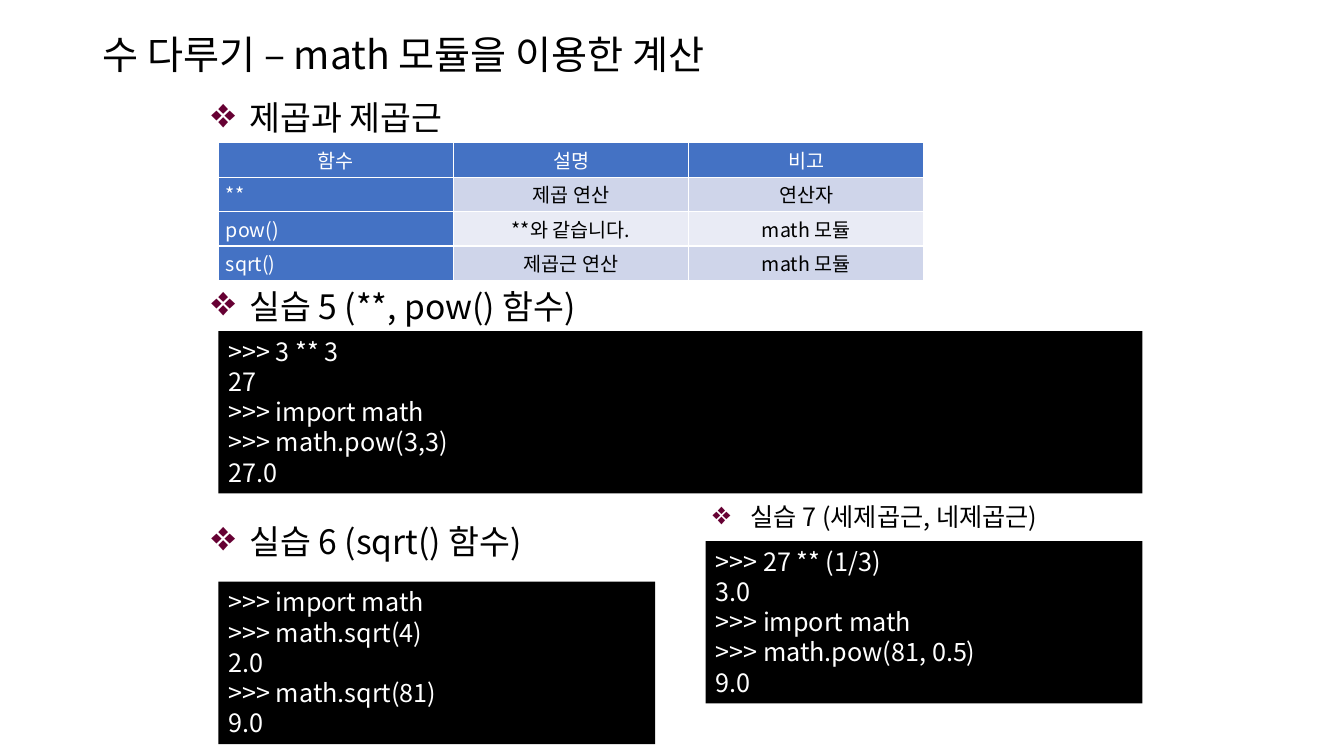
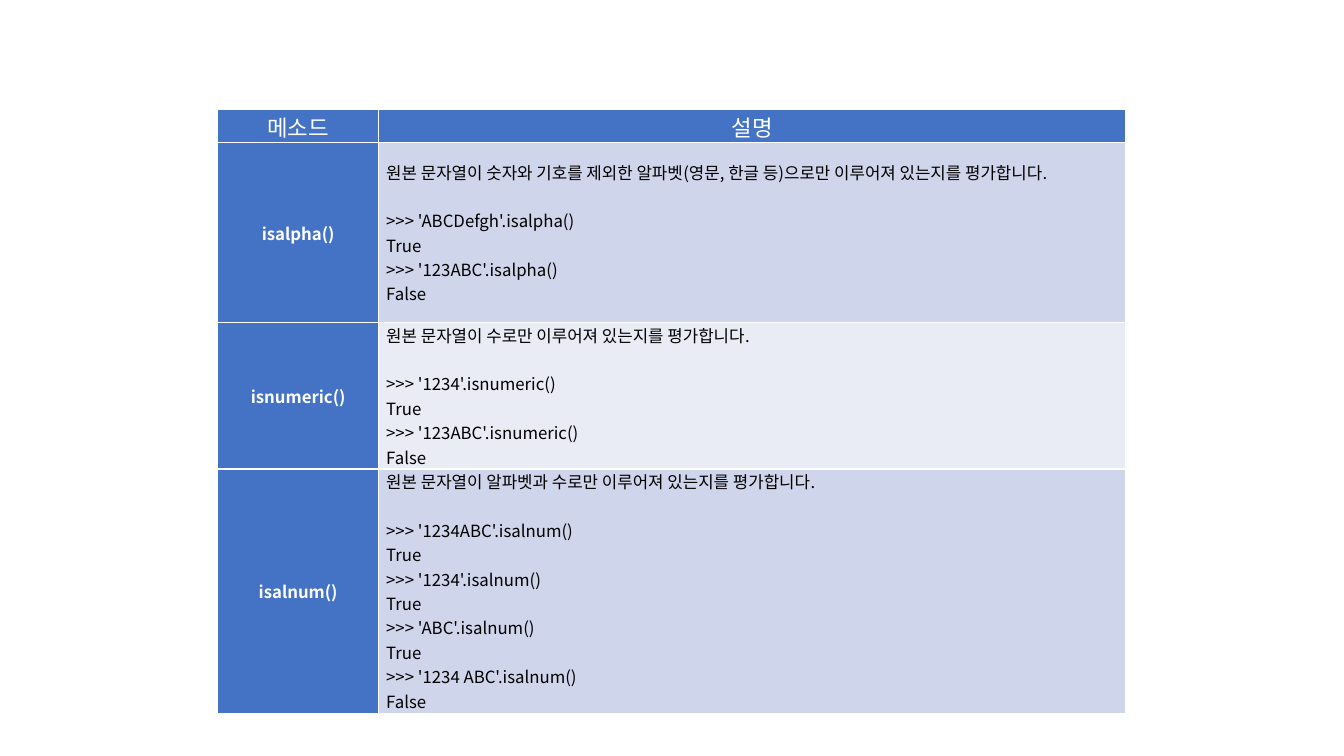
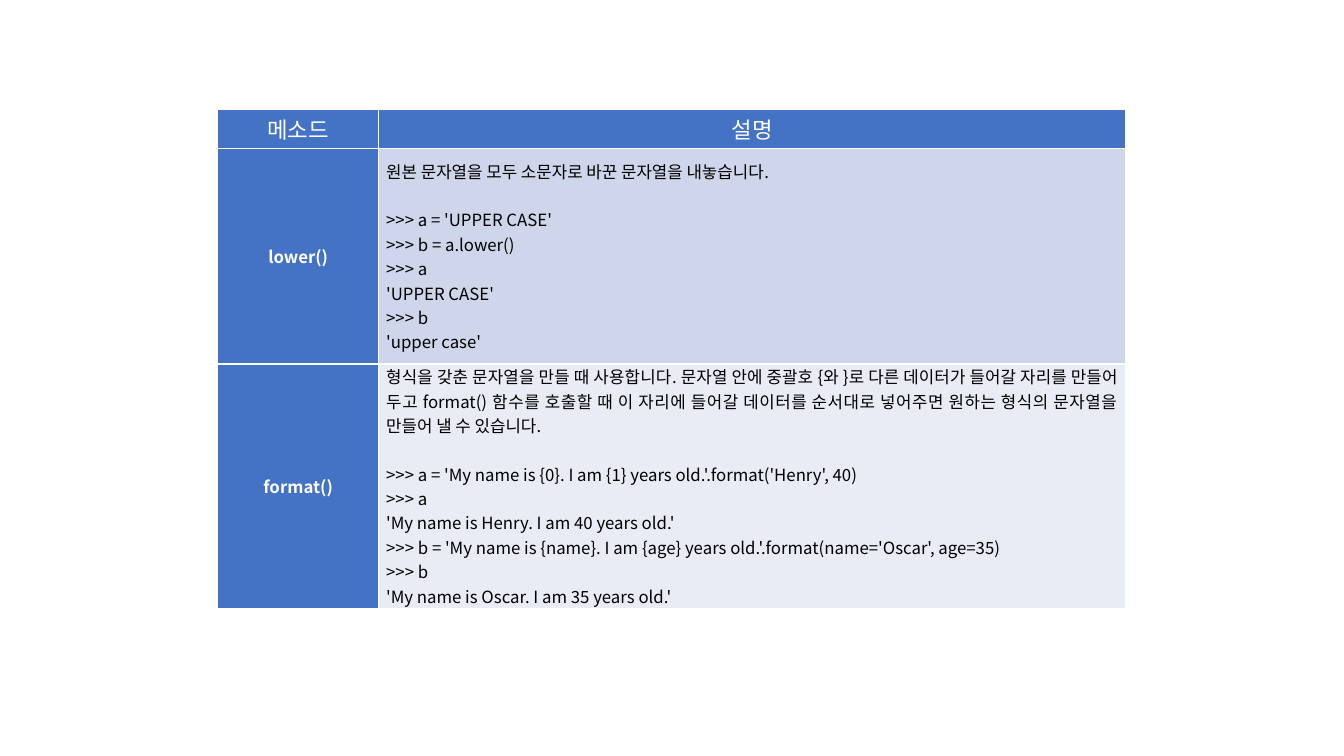
from lxml import etree
from pptx import Presentation
from pptx.dml.color import RGBColor
from pptx.enum.shapes import MSO_SHAPE
from pptx.enum.text import MSO_ANCHOR, MSO_AUTO_SIZE, PP_ALIGN
from pptx.oxml.ns import qn
from pptx.util import Pt

LEFT, CENTER, JUSTIFY = PP_ALIGN.LEFT, PP_ALIGN.CENTER, PP_ALIGN.JUSTIFY
TOP, MIDDLE = MSO_ANCHOR.TOP, MSO_ANCHOR.MIDDLE
NO_FIT = MSO_AUTO_SIZE.NONE
RECTANGLE = MSO_SHAPE.RECTANGLE

# Shared style
FONT = "Noto Sans CJK KR"
BLACK, WHITE, BLUE, MAROON = "000000", "FFFFFF", "4472C4", "660033"
BANDS = ("CFD5EA", "E9EBF5")
SLIDE_SIZE = (960, 540)
TITLE_BOX = (66, 5, 828, 67)
LINE_FACTOR = 1.2
BULLET_INDENT = 27
CELL_MARGIN = 5.4
TITLE_ONLY, BLANK = 5, 6

# Slide 1: (left, top, width, size, text) and (left, top, width, lines)
TITLE = "수 다루기 – math 모듈을 이용한 계산"
HEADINGS = [
    (144, 66, 684, 24, "제곱과 제곱근"),
    (144, 200.4, 684, 24, "실습 5 (**, pow() 함수)"),
    (144, 368.4, 340, 24, "실습 6 (sqrt() 함수)"),
    (502, 354.6, 300, 18, "실습 7 (세제곱근, 네제곱근)"),
]
CONSOLES = [
    (156, 236.5, 660, [">>> 3 ** 3", "27", ">>> import math", ">>> math.pow(3,3)", "27.0"]),
    (156, 415.5, 312, [">>> import math", ">>> math.sqrt(4)", "2.0", ">>> math.sqrt(81)", "9.0"]),
    (504, 386.5, 312, [">>> 27 ** (1/3)", "3.0", ">>> import math", ">>> math.pow(81, 0.5)", "9.0"]),
]
CONSOLE_HEIGHT = 116
FUNCTIONS = [
    ["함수", "설명", "비고"],
    ["**", "제곱 연산", "연산자"],
    ["pow()", "**와 같습니다.", "math 모듈"],
    ["sqrt()", "제곱근 연산", "math 모듈"],
]

# Slides 2 and 3: header height, then (method, row height, description, session)
METHOD_HEADER = ["메소드", "설명"]
METHOD_SLIDES = [
    (23.5, [
        ("isalpha()", 128.5,
         "원본 문자열이 숫자와 기호를 제외한 알파벳(영문, 한글 등)으로만 이루어져 있는지를 평가합니다.",
         [">>> 'ABCDefgh'.isalpha()", "True", ">>> '123ABC'.isalpha()", "False"]),
        ("isnumeric()", 104.5,
         "원본 문자열이 수로만 이루어져 있는지를 평가합니다.",
         [">>> '1234'.isnumeric()", "True", ">>> '123ABC'.isnumeric()", "False"]),
        ("isalnum()", 174.5,
         "원본 문자열이 알파벳과 수로만 이루어져 있는지를 평가합니다.",
         [">>> '1234ABC'.isalnum()", "True", ">>> '1234'.isalnum()", "True",
          ">>> 'ABC'.isalnum()", "True", ">>> '1234 ABC'.isalnum()", "False"]),
    ]),
    (27.5, [
        ("lower()", 154,
         "원본 문자열을 모두 소문자로 바꾼 문자열을 내놓습니다.",
         [">>> a = 'UPPER CASE'", ">>> b = a.lower()", ">>> a", "'UPPER CASE'",
          ">>> b", "'upper case'"]),
        ("format()", 174.5,
         "형식을 갖춘 문자열을 만들 때 사용합니다. 문자열 안에 중괄호 {와 }로 다른 데이터가 "
         "들어갈 자리를 만들어 두고 format() 함수를 호출할 때 이 자리에 들어갈 데이터를 순서대로 "
         "넣어주면 원하는 형식의 문자열을 만들어 낼 수 있습니다.",
         [">>> a = 'My name is {0}. I am {1} years old.'.format('Henry', 40)", ">>> a",
          "'My name is Henry. I am 40 years old.'",
          ">>> b = 'My name is {name}. I am {age} years old.'.format(name='Oscar', age=35)",
          ">>> b", "'My name is Oscar. I am 35 years old.'"]),
    ]),
]


def rgb(value):
    return RGBColor.from_string(value)


def points(values):
    return [Pt(value) for value in values]


def write(frame, lines, size, color=BLACK, bold=False, align=LEFT, anchor=TOP,
          spacing=None, first_gap=0):
    """Fill a text frame, one paragraph for each line."""
    frame.word_wrap = True
    frame.vertical_anchor = anchor
    for index, line in enumerate(lines):
        para = frame.paragraphs[0] if index == 0 else frame.add_paragraph()
        para.alignment = align
        if spacing:
            para.line_spacing = Pt(spacing)
        if first_gap and index == 0:
            para.space_after = Pt(first_gap)
        span = para.add_run()
        span.text = line
        span.font.size, span.font.bold, span.font.name = Pt(size), bold, FONT
        span.font.color.rgb = rgb(color)
        etree.SubElement(span.font._element, qn("a:ea"), typeface=FONT)


def add_heading(page, left, top, width, size, text):
    box = page.shapes.add_textbox(*points((left, top, width, size * LINE_FACTOR + 7.2)))
    write(box.text_frame, [text], size, spacing=size * LINE_FACTOR)
    props = box.text_frame.paragraphs[0]._p.get_or_add_pPr()
    props.set("marL", str(Pt(BULLET_INDENT)))
    props.set("indent", str(-Pt(BULLET_INDENT)))
    color = etree.SubElement(props, qn("a:buClr"))
    etree.SubElement(color, qn("a:srgbClr"), val=MAROON)
    etree.SubElement(props, qn("a:buSzPct"), val="125000")
    etree.SubElement(props, qn("a:buChar"), char="❖")


def add_console(page, left, top, width, lines):
    box = page.shapes.add_shape(RECTANGLE, *points((left, top, width, CONSOLE_HEIGHT)))
    box.shadow.inherit = False
    box.fill.solid()
    box.fill.fore_color.rgb = rgb(BLACK)
    box.line.fill.background()
    write(box.text_frame, lines, 18, WHITE, spacing=18 * LINE_FACTOR)


def style_cell(cell, fill):
    cell.margin_left = cell.margin_right = Pt(CELL_MARGIN)
    cell.margin_top = cell.margin_bottom = 0
    cell.vertical_anchor = MIDDLE
    props = cell._tc.get_or_add_tcPr()
    for side in "LRTB":
        border = etree.SubElement(props, qn(f"a:ln{side}"), w=str(Pt(1)))
        paint = etree.SubElement(border, qn("a:solidFill"))
        etree.SubElement(paint, qn("a:srgbClr"), val=WHITE)
    cell.fill.solid()
    cell.fill.fore_color.rgb = rgb(fill)


def add_grid(page, left, top, widths, heights):
    """Add a table with blue header row and column and banded body."""
    frame = page.shapes.add_table(len(heights), len(widths),
                                  *points((left, top, sum(widths), sum(heights))))
    table = frame.table
    for column, width in zip(table.columns, widths):
        column.width = Pt(width)
    for r, height in enumerate(heights):
        table.rows[r].height = Pt(height)
        for c in range(len(widths)):
            fill = BLUE if r == 0 or c == 0 else BANDS[(r - 1) % 2]
            style_cell(table.cell(r, c), fill)
    return table


def write_cell(table, r, c, lines, size, **style):
    write(table.cell(r, c).text_frame, lines, size,
          color=WHITE if r == 0 or c == 0 else BLACK, anchor=MIDDLE, **style)


def build_math_slide(deck):
    page = deck.slides.add_slide(deck.slide_layouts[TITLE_ONLY])
    title = page.shapes.title
    title.left, title.top, title.width, title.height = points(TITLE_BOX)
    title.text_frame.auto_size = NO_FIT
    write(title.text_frame, [TITLE], 28, anchor=MIDDLE)
    for heading in HEADINGS:
        add_heading(page, *heading)
    table = add_grid(page, 156, 102, [168] * 3, [24.6] * len(FUNCTIONS))
    for r, row in enumerate(FUNCTIONS):
        for c, text in enumerate(row):
            write_cell(table, r, c, [text], 14, align=JUSTIFY if r and c == 0 else CENTER)
    for console in CONSOLES:
        add_console(page, *console)


def build_method_slide(deck, header_height, methods):
    page = deck.slides.add_slide(deck.slide_layouts[BLANK])
    heights = [header_height] + [method[1] for method in methods]
    table = add_grid(page, 155.5, 78.5, [115, 533.5], heights)
    for c, text in enumerate(METHOD_HEADER):
        write_cell(table, 0, c, [text], 16, align=CENTER)
    for r, (name, _, description, session) in enumerate(methods, 1):
        write_cell(table, r, 0, [name], 12, bold=True, align=CENTER)
        write_cell(table, r, 1, [description] + session, 12, align=JUSTIFY, first_gap=17.4)


def main():
    deck = Presentation()
    deck.slide_width, deck.slide_height = points(SLIDE_SIZE)
    build_math_slide(deck)
    for header_height, methods in METHOD_SLIDES:
        build_method_slide(deck, header_height, methods)
    deck.save("out.pptx")


if __name__ == "__main__":
    main()
